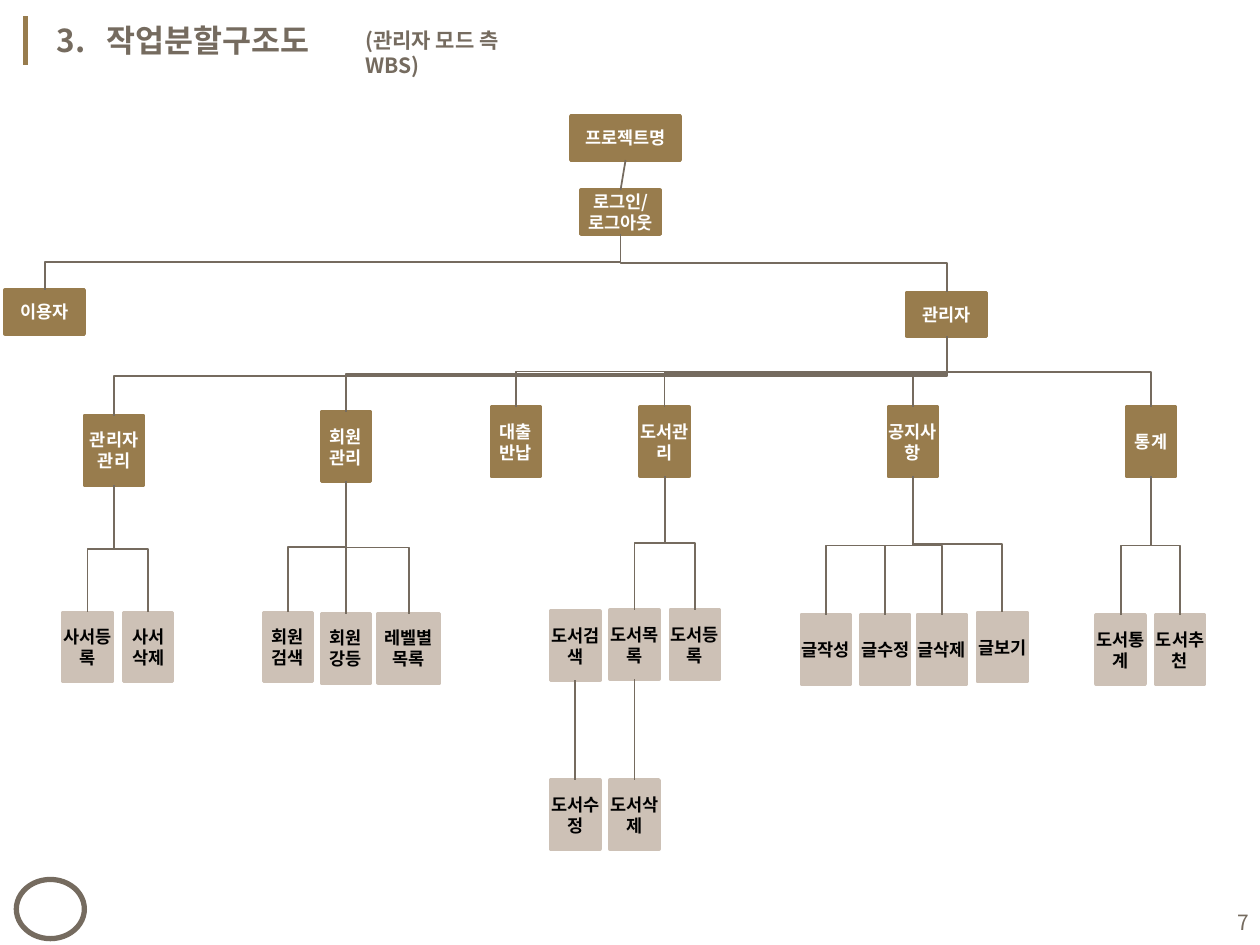
"""Build the administrator-side work breakdown structure slide."""
from lxml import etree
from pptx import Presentation
from pptx.dml.color import RGBColor
from pptx.enum.shapes import MSO_CONNECTOR, MSO_SHAPE
from pptx.enum.text import MSO_ANCHOR, PP_ALIGN
from pptx.oxml.ns import qn
from pptx.util import Inches, Pt

STRAIGHT, ELBOW = MSO_CONNECTOR.STRAIGHT, MSO_CONNECTOR.ELBOW
RECTANGLE, OVAL = MSO_SHAPE.RECTANGLE, MSO_SHAPE.OVAL
TOP, MIDDLE = MSO_ANCHOR.TOP, MSO_ANCHOR.MIDDLE
LEFT, CENTER, RIGHT = PP_ALIGN.LEFT, PP_ALIGN.CENTER, PP_ALIGN.RIGHT

FONT = "Noto Sans CJK KR"
GOLD = RGBColor(0x98, 0x7C, 0x4D)
TAUPE = RGBColor(0x75, 0x6B, 0x5F)
BEIGE = RGBColor(0xCD, 0xC1, 0xB6)
WHITE = RGBColor(0xFF, 0xFF, 0xFF)
BLACK = RGBColor(0, 0, 0)

ROOT = ("프로젝트명", 4.53, 0.92, 0.87)
LOGIN = ("로그인/\n로그아웃", 4.61, 1.51, 0.63)
USER = ("이용자", 0.04, 2.3, 0.63)
MANAGER = ("관리자", 7.2, 2.32, 0.63)

BRANCHES = [
    (("관리자관리", 0.67, 3.3, 0.47),
     [("사서등록", 0.5, 4.86, 0.39), ("사서\n삭제", 0.98, 4.86, 0.39)]),
    (("회원\n관리", 2.55, 3.27, 0.39),
     [("회원\n검색", 2.09, 4.86, 0.39), ("회원\n강등", 2.55, 4.87, 0.39),
      ("레벨별\n목록", 3.0, 4.87, 0.49)]),
    (("대출\n반납", 3.9, 3.23, 0.39), []),
    (("도서관리", 5.08, 3.23, 0.39),
     [("도서목록", 4.84, 4.84, 0.39), ("도서등록", 5.32, 4.84, 0.39)]),
    (("공지사항", 7.05, 3.23, 0.39),
     [("글작성", 6.36, 4.88, 0.39), ("글수정", 6.83, 4.88, 0.39),
      ("글삭제", 7.28, 4.88, 0.39), ("글보기", 7.76, 4.86, 0.39)]),
    (("통계", 8.94, 3.23, 0.39),
     [("도서통계", 8.7, 4.88, 0.39), ("도서추천", 9.17, 4.88, 0.39)]),
]
FOLLOW_UPS = [
    (("도서검색", 4.37, 4.85, 0.39), ("도서수정", 4.37, 6.19, 0.39)),
    (("도서목록", 4.84, 4.84, 0.39), ("도서삭제", 4.84, 6.19, 0.39)),
]
SHORT_HEIGHT, TALL_HEIGHT = 0.35, 0.55


def add_span(para, text, size=10, color=BLACK, bold=True):
    span = para.add_run()
    span.text = text
    span.font.size = Pt(size)
    span.font.bold = bold
    span.font.color.rgb = color
    span.font.name = FONT
    etree.SubElement(span.font._element, qn("a:ea"), typeface=FONT)


def write(shape, text, align=LEFT, anchor=TOP, inset=None, **style):
    frame = shape.text_frame
    frame.word_wrap = True
    frame.vertical_anchor = anchor
    if inset is not None:
        frame.margin_left = frame.margin_right = Inches(inset)
        frame.margin_top = frame.margin_bottom = Inches(inset)
    for index, line in enumerate(text.split("\n")):
        para = frame.add_paragraph() if index else frame.paragraphs[0]
        para.alignment = align
        add_span(para, line, **style)
    return frame.paragraphs[0]


def add_label(page, text, left, top, width, height, **style):
    box = page.shapes.add_textbox(*map(Inches, (left, top, width, height)))
    return write(box, text, **style)


def add_line(page, kind, begin, end, color=TAUPE, width=1):
    line = page.shapes.add_connector(kind, *map(Inches, (*begin, *end)))
    line.line.color.rgb = color
    line.line.width = Pt(width)
    etree.SubElement(line._element.spPr, qn("a:effectLst"))
    return line


def add_node(page, node, height, fill=GOLD, color=WHITE):
    text, left, top, width = node
    box = page.shapes.add_shape(RECTANGLE, *map(Inches, (left, top, width, height)))
    box.shadow.inherit = False
    box.fill.solid()
    box.fill.fore_color.rgb = fill
    box.line.color.rgb = fill
    box.line.width = Pt(2)
    write(box, text, align=CENTER, anchor=MIDDLE, inset=0, color=color)


def link(page, parent, child, height):
    start_x, start_y = parent[1] + parent[3] / 2, parent[2] + height
    end_x, end_y = child[1] + child[3] / 2, child[2]
    middle_x, middle_y = (start_x + end_x) / 2, (start_y + end_y) / 2
    rightward = end_x > start_x
    half_length = (end_y - start_y) / 2 * (-1 if rightward else 1)
    half_spread = abs(end_x - start_x) / 2
    line = add_line(page, ELBOW,
                    (middle_x - half_length, middle_y - half_spread),
                    (middle_x + half_length, middle_y + half_spread))
    turn = 270 if rightward else 90
    line._element.spPr.find(qn("a:xfrm")).set("rot", str(turn * 60000))


def add_frame(page):
    add_line(page, STRAIGHT, (0.2, 0.13), (0.2, 0.52), GOLD, 3)
    ring = page.shapes.add_shape(OVAL, *map(Inches, (0.13, 6.98, 0.54, 0.47)))
    ring.shadow.inherit = False
    ring.fill.background()
    ring.line.color.rgb = TAUPE
    ring.line.width = Pt(3)
    add_label(page, "7", 7.68, 7.12, 2.33, 0.4, align=RIGHT, anchor=MIDDLE,
              size=12, color=TAUPE, bold=False)
    title = add_label(page, "3.\t작업분할구조도", 0.35, 0.12, 3.21, 0.4, size=18, color=TAUPE)
    tabs = etree.SubElement(title._p.get_or_add_pPr(), qn("a:tabLst"))
    etree.SubElement(tabs, qn("a:tab"), pos=str(Inches(0.4)), algn="l")
    add_label(page, "(관리자 모드 측 WBS)", 2.8, 0.17, 1.7, 0.3, size=12, color=TAUPE)


def add_tree(page):
    for node in (ROOT, LOGIN, USER, MANAGER):
        add_node(page, node, SHORT_HEIGHT)
    add_line(page, STRAIGHT, (ROOT[1] + ROOT[3] / 2, ROOT[2] + SHORT_HEIGHT),
             (LOGIN[1] + LOGIN[3] / 2, LOGIN[2]))
    for role in (USER, MANAGER):
        link(page, LOGIN, role, SHORT_HEIGHT)
    for branch, leaves in BRANCHES:
        add_node(page, branch, TALL_HEIGHT)
        link(page, MANAGER, branch, SHORT_HEIGHT)
        for leaf in leaves:
            add_node(page, leaf, TALL_HEIGHT, BEIGE, BLACK)
            link(page, branch, leaf, TALL_HEIGHT)
    search = FOLLOW_UPS[0][0]
    for node in (search, *(follower for _, follower in FOLLOW_UPS)):
        add_node(page, node, TALL_HEIGHT, BEIGE, BLACK)
    for source, follower in FOLLOW_UPS:
        link(page, source, follower, TALL_HEIGHT)


def main():
    deck = Presentation()
    deck.slide_width, deck.slide_height = Inches(10), Inches(7.5)
    page = deck.slides.add_slide(deck.slide_layouts[6])
    add_frame(page)
    add_tree(page)
    deck.save("out.pptx")


if __name__ == "__main__":
    main()
